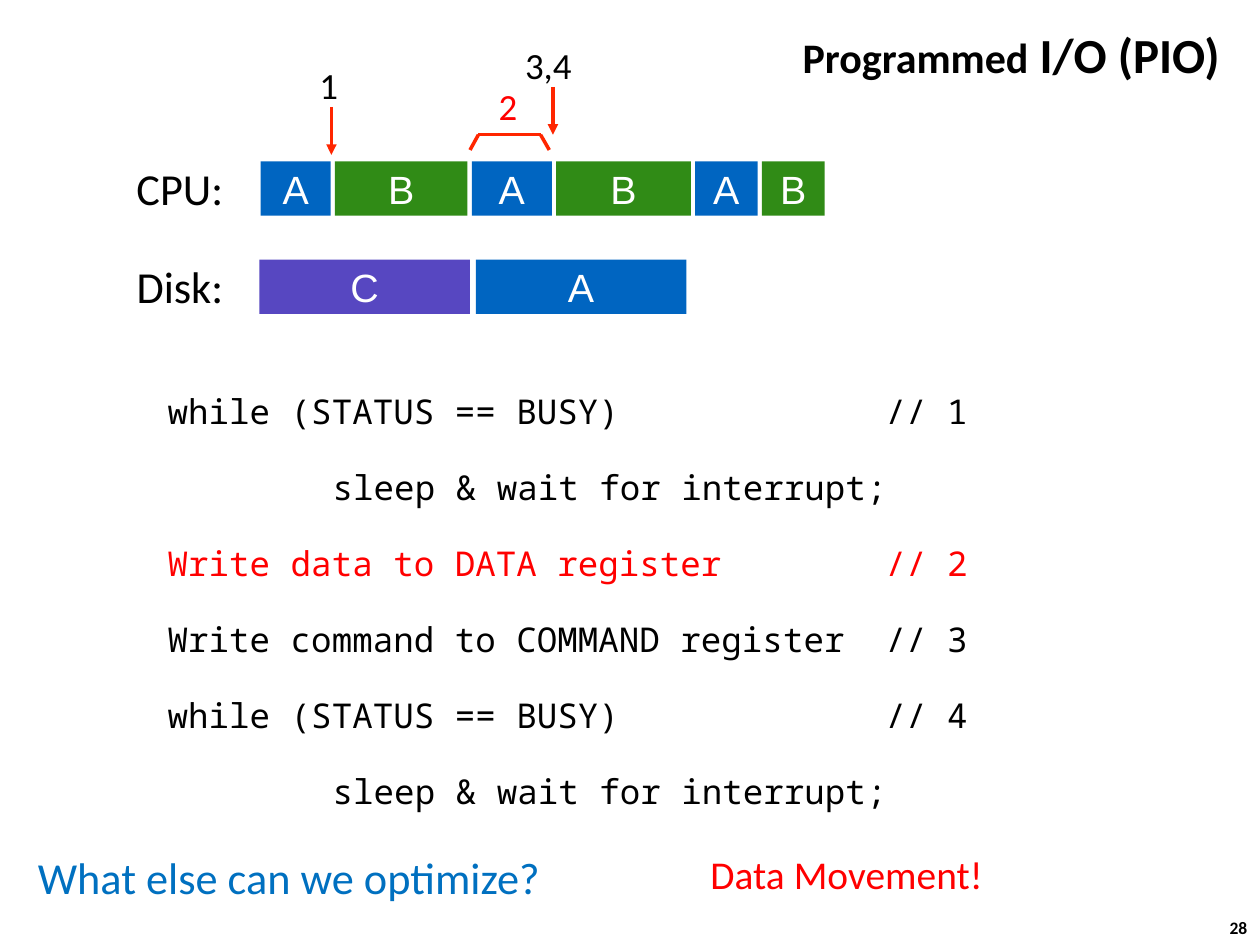
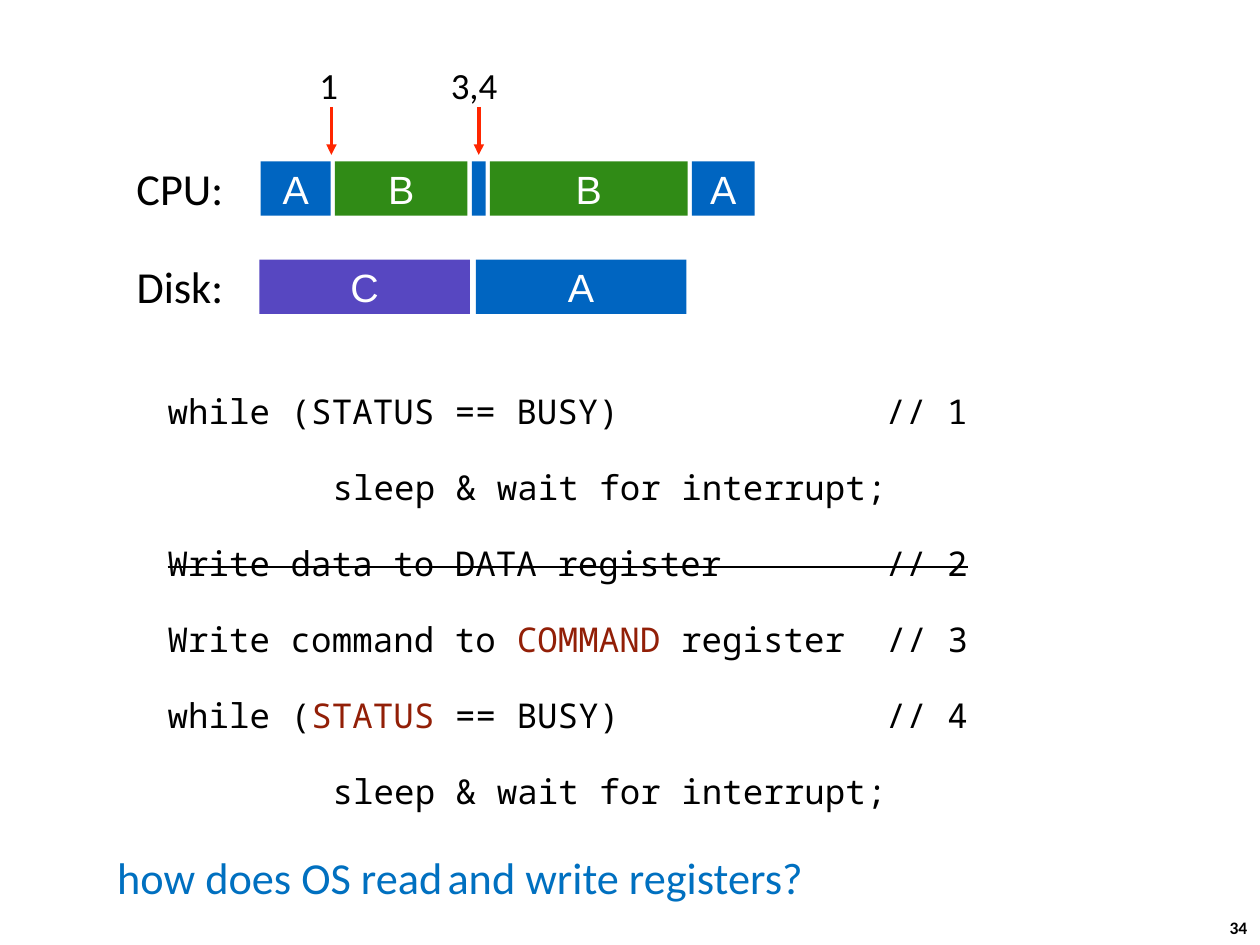
from lxml.etree import SubElement as Sub
from pptx import Presentation
from pptx.dml.color import RGBColor
from pptx.enum.shapes import MSO_CONNECTOR as Link, MSO_SHAPE as Shape
from pptx.enum.text import MSO_ANCHOR as Anchor, MSO_AUTO_SIZE as Fit, PP_ALIGN as Align
from pptx.oxml.ns import qn
from pptx.util import Pt

BLACK = RGBColor(0x00, 0x00, 0x00)
WHITE = RGBColor(0xFF, 0xFF, 0xFF)
RED = RGBColor(0xFF, 0x00, 0x00)
ARROW = RGBColor(0xFF, 0x26, 0x00)
BRICK = RGBColor(0x92, 0x1F, 0x07)
ASK = RGBColor(0x00, 0x70, 0xC0)
BLUE = RGBColor(0x00, 0x65, 0xC1)
GREEN = RGBColor(0x30, 0x8B, 0x16)
PURPLE = RGBColor(0x57, 0x47, 0xC1)

SANS, BOX, MONO = "Calibri", "Arial", "Noto Sans Mono"
JOBS = {"A": BLUE, "B": GREEN, "C": PURPLE}
BAR = 31
CPU_TOP, DISK_TOP = 92.2, 148.4
NOTE_COL = 35
WAIT = [("sleep & wait for interrupt;", BLACK)]


class Deck:
    def __init__(self):
        self.prs = Presentation()
        self.prs.slide_width, self.prs.slide_height = Pt(720), Pt(540)

    def start(self, number):
        self.slide = self.prs.slides.add_slide(self.prs.slide_layouts[1])
        self.shapes = self.slide.shapes
        self.text((695.5, 520.6, 27, 19.4), [(number, 10, BLACK)], pad=(7.2, 3.6), bold=True)

    def place(self, shape, spot):
        shape.left, shape.top, shape.width, shape.height = map(Pt, spot)

    def pad(self, frame, side, end):
        frame.margin_left = frame.margin_right = Pt(side)
        frame.margin_top = frame.margin_bottom = Pt(end)

    def run(self, para, text, size, color, face=SANS, bold=False):
        run = para.add_run()
        run.text = text
        font = run.font
        font.name, font.size, font.bold = face, Pt(size), bold
        font.color.rgb = color
        return run

    def text(self, spot, runs, pad=(0, 0), align=Align.LEFT, anchor=Anchor.TOP, bold=False):
        frame = self.shapes.add_textbox(*map(Pt, spot)).text_frame
        frame.word_wrap = False
        frame.vertical_anchor = anchor
        self.pad(frame, *pad)
        para = frame.paragraphs[0]
        para.alignment = align
        for part in runs:
            self.run(para, *part, bold=bold)

    def label(self, spot, text, size, color=BLACK, align=Align.LEFT):
        self.text(spot, [(text, size, color)], (2.8, 2.8), align, Anchor.MIDDLE)

    def title(self, spot, runs):
        box = self.shapes.title
        self.place(box, spot)
        frame = box.text_frame
        frame.auto_size = Fit.NONE
        frame.vertical_anchor = Anchor.TOP
        para = frame.paragraphs[0]
        para.alignment = Align.LEFT
        for part in runs:
            self.run(para, *part, bold=True)

    def drop_title(self):
        item = self.shapes.title.element
        item.getparent().remove(item)

    def line(self, x1, y1, x2, y2, head=False):
        link = self.shapes.add_connector(Link.STRAIGHT, *map(Pt, (x1, y1, x2, y2)))
        link.line.color.rgb = ARROW
        link.line.width = Pt(2)
        if head:
            Sub(link.element.spPr.find(qn("a:ln")), qn("a:tailEnd"), type="triangle")
        Sub(link.element.spPr, qn("a:effectLst"))

    def mark(self, text, x, top):
        """Number with an arrow that points down at x."""
        wide = 16.6 if len(text) == 1 else 32.4
        self.label((x - 0.58 * wide, top, wide, BAR), text, 21.1)
        self.line(x, top + 28, x, top + 55.4, head=True)

    def bars(self, left, top, gap, jobs):
        """Row of time slices; each job is (kind, width, caption shown)."""
        for kind, wide, shown in jobs:
            bar = self.shapes.add_shape(Shape.RECTANGLE, *map(Pt, (left, top, wide, BAR)))
            bar.shadow.inherit = False
            bar.fill.solid()
            bar.fill.fore_color.rgb = JOBS[kind]
            bar.line.fill.background()
            if shown:
                frame = bar.text_frame
                self.pad(frame, 0, 0)
                frame.vertical_anchor = Anchor.MIDDLE
                frame.paragraphs[0].alignment = Align.CENTER
                self.run(frame.paragraphs[0], kind, 22.5, WHITE, BOX)
            left += wide + gap

    def chart(self, slices):
        """CPU and disk rows with their names."""
        for name, top in (("CPU:", CPU_TOP), ("Disk:", DISK_TOP)):
            self.label((73.4, top - 2.8, 57, 36), name, 25.3, align=Align.RIGHT)
        self.bars(149, CPU_TOP, 2.4, slices)
        self.bars(148.2, DISK_TOP, 3.3, [("C", 120.4, True), ("A", 120.4, True)])

    def code(self, lines, struck=None):
        body = self.slide.placeholders[1]
        self.place(body, (88.6, 219.6, 507, 282))
        frame = body.text_frame
        frame.auto_size = Fit.NONE
        for row, parts in enumerate(lines):
            para = frame.add_paragraph() if row else frame.paragraphs[0]
            props = para._p.get_or_add_pPr()
            props.set("marL", str(Pt(94.3 if parts is WAIT else 0)))
            props.set("indent", "0")
            Sub(props, qn("a:buNone"))
            para.line_spacing = 1.0
            para.space_before = Pt(20 if row else 0)
            for text, color in parts:
                run = self.run(para, text, 19.5, color, MONO)
                if row == struck:
                    run._r.get_or_add_rPr().set("strike", "sngStrike")


def step(number, *parts):
    """Code line whose closing comment starts in the shared column."""
    *first, (text, color) = parts
    used = sum(len(part) for part, _ in first)
    return [*first, (f"{text.ljust(NOTE_COL - used)}// {number}", color)]


def program(data, name):
    """The driver code, with the colours of the data step and register names."""
    return [
        step(1, ("while (STATUS == BUSY)", BLACK)),
        WAIT,
        step(2, ("Write data to DATA register", data)),
        step(3, ("Write command to ", BLACK), ("COMMAND ", name), ("register", BLACK)),
        step(4, ("while (", BLACK), ("STATUS ", name), ("== BUSY)", BLACK)),
        WAIT,
    ]


def copying(deck):
    deck.start("28")
    deck.title((451.4, 10.4, 256.3, 41), [("Programmed", 24, BLACK), (" I/O (PIO)", 28, BLACK)])
    deck.chart([("A", 40, True), ("B", 75.8, True), ("A", 45.8, True),
                ("B", 77, True), ("A", 35.8, True), ("B", 35.8, True)])
    deck.mark("1", 189.4, 33.1)
    deck.mark("3,4", 316, 21.6)
    deck.label((282.2, 45, 16.6, BAR), "2", 21.1, RED)
    edge = [(268.6, 85.7), (273.4, 77), (308.9, 77), (313.9, 85.7)]
    for a, b in zip(edge, edge[1:]):
        deck.line(*a, *b)
    deck.code(program(RED, BLACK))
    deck.text((21.6, 486, 290, 31), [("What else can we optimize?", 25.3, ASK)])
    deck.text((398.9, 482, 171.4, 34.6), [("Data Movement!", 22.5, RED)], (7.2, 3.6))


def direct(deck):
    deck.start("34")
    deck.drop_title()
    deck.chart([("A", 40, True), ("B", 75.8, True), ("A", 8, False),
                ("B", 113, True), ("A", 35.8, True)])
    deck.mark("1", 189.4, 33.1)
    deck.mark("3,4", 273.6, 33.1)
    deck.code(program(BLACK, BRICK), struck=2)
    deck.text((67, 486, 556.6, 31), [("how does OS read", 25.3, ASK), (" ", 12.7, ASK),
                                     ("and write registers?", 25.3, ASK)])


def main():
    deck = Deck()
    copying(deck)
    direct(deck)
    deck.prs.save("out.pptx")


if __name__ == "__main__":
    main()
